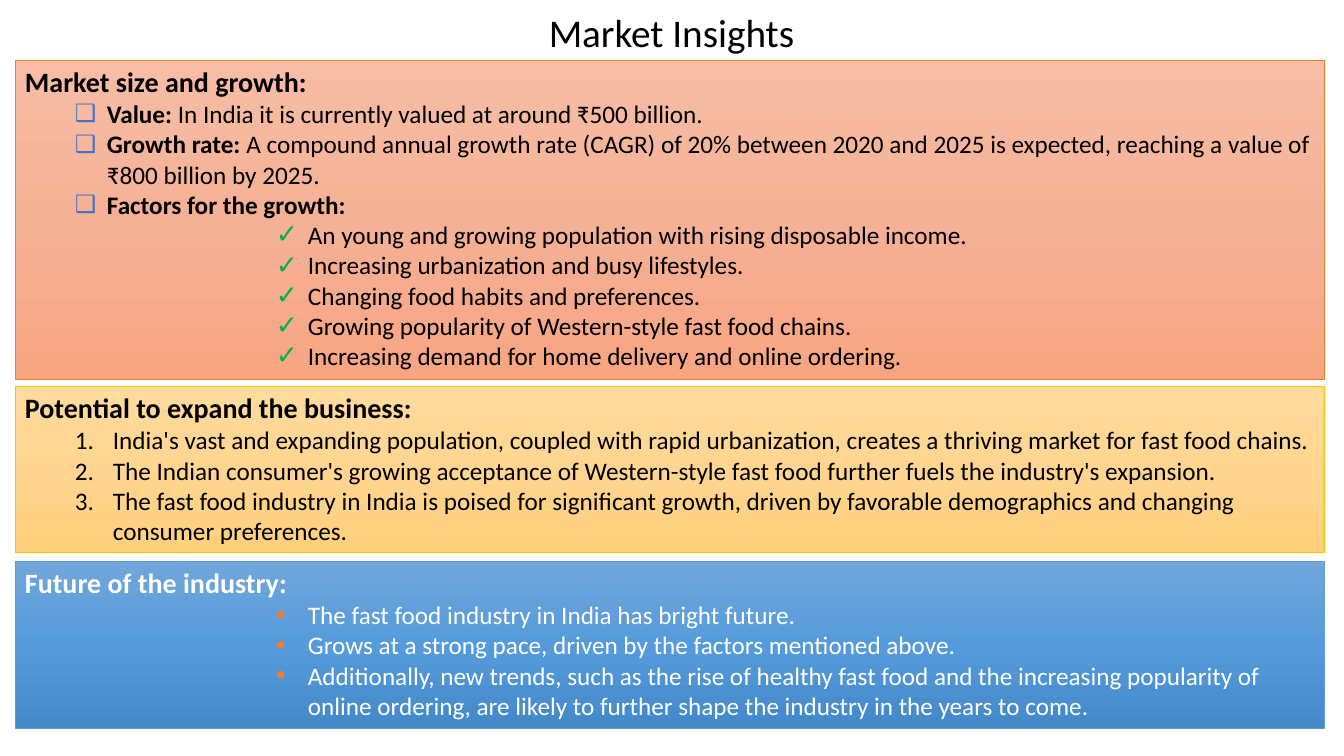
from copy import deepcopy
from dataclasses import dataclass

from lxml.etree import SubElement
from pptx import Presentation
from pptx.dml.color import RGBColor
from pptx.enum.shapes import MSO_SHAPE
from pptx.enum.text import MSO_ANCHOR, MSO_AUTO_SIZE, PP_ALIGN
from pptx.oxml.ns import qn
from pptx.util import Emu, Pt

EMU_PER_PX = 914400 / 100.8
PANEL_LEFT, PANEL_WIDTH = 15, 1309


@dataclass(frozen=True)
class Bullet:
    level: int
    margin: int
    hang: int
    char: str = ""
    color: str = ""
    size: int = 100


@dataclass(frozen=True)
class Item:
    bullet: Bullet
    text: str
    label: str = ""


@dataclass(frozen=True)
class Panel:
    top: int
    height: int
    stops: tuple[str, str, str]
    line: str
    color: str
    heading: str
    items: tuple[Item, ...]


BOX = Bullet(1, 82, 32, "❑", "4472C4", 95)
CHECK = Bullet(5, 283, 32, "✓", "00B050", 105)
DOT = Bullet(5, 283, 32, "•", "ED7D31", 110)
NUMBER = Bullet(1, 88, 38)

PANELS = (
    Panel(60, 319, ("F7BDA5", "F5B196", "F8A582"), "ED7D31", "000000", "Market size and growth:", (
        Item(BOX, "In India it is currently valued at around ₹500 billion.", "Value: "),
        Item(BOX, "A compound annual growth rate (CAGR) of 20% between 2020 and 2025 is expected, "
             "reaching a value of ₹800 billion by 2025.", "Growth rate: "),
        Item(BOX, "", "Factors for the growth:"),
        Item(CHECK, "An young and growing population with rising disposable income."),
        Item(CHECK, "Increasing urbanization and busy lifestyles."),
        Item(CHECK, "Changing food habits and preferences."),
        Item(CHECK, "Growing popularity of Western-style fast food chains."),
        Item(CHECK, "Increasing demand for home delivery and online ordering."),
    )),
    Panel(386, 166, ("FFDB9E", "FFD590", "FFD07C"), "FFC000", "000000", "Potential to expand the business:", (
        Item(NUMBER, "India's vast and expanding population, coupled with rapid urbanization, "
             "creates a thriving market for fast food chains."),
        Item(NUMBER, "The Indian consumer's growing acceptance of Western-style fast food "
             "further fuels the industry's expansion."),
        Item(NUMBER, "The fast food industry in India is poised for significant growth, "
             "driven by favorable demographics and changing consumer preferences."),
    )),
    Panel(561, 167, ("71A6DB", "559BDB", "448ACA"), "5B9BD5", "FFFFFF", "Future of the industry:", (
        Item(DOT, "The fast food industry in India has bright future."),
        Item(DOT, "Grows at a strong pace, driven by the factors mentioned above."),
        Item(DOT, "Additionally, new trends, such as the rise of healthy fast food and the increasing "
             "popularity of online ordering, are likely to further shape the industry in the years to come."),
    )),
)


def px(n: int) -> Emu:
    return Emu(round(n * EMU_PER_PX))


def rgb(color: str) -> RGBColor:
    return RGBColor.from_string(color)


def add_text(p, text: str, *, size: int, color: str, bold: bool = False) -> None:
    r = p.add_run()
    r.text = text
    r.font.name = "Calibri"
    r.font.size = Pt(size)
    r.font.bold = bold
    r.font.color.rgb = rgb(color)


def set_bullet(p, bullet: Bullet) -> None:
    p.level = bullet.level
    pPr = p._p.get_or_add_pPr()
    pPr.set("marL", str(px(bullet.margin)))
    pPr.set("indent", str(-px(bullet.hang)))
    if not bullet.char:
        SubElement(pPr, qn("a:buFont"), typeface="+mj-lt")
        SubElement(pPr, qn("a:buAutoNum"), type="arabicPeriod")
        return
    buClr = SubElement(pPr, qn("a:buClr"))
    SubElement(buClr, qn("a:srgbClr"), val=bullet.color)
    SubElement(pPr, qn("a:buSzPct"), val=str(bullet.size * 1000))
    SubElement(pPr, qn("a:buFont"), typeface="Arial")
    SubElement(pPr, qn("a:buChar"), char=bullet.char)


def set_gradient(sp, colors: tuple[str, str, str]) -> None:
    sp.fill.gradient()
    sp.fill.gradient_angle = 270
    gs_lst = sp._element.spPr.find(qn("a:gradFill")).find(qn("a:gsLst"))
    gs_lst.insert(1, deepcopy(gs_lst[0]))
    for stop, color, position in zip(sp.fill.gradient_stops, colors, (0, 0.5, 1)):
        stop.color.rgb = rgb(color)
        stop.position = position


def add_title(s, text: str) -> None:
    tf = s.shapes.add_textbox(px(535), px(3), px(273), px(57)).text_frame
    tf.auto_size = MSO_AUTO_SIZE.SHAPE_TO_FIT_TEXT
    tf.word_wrap = False
    p = tf.paragraphs[0]
    p.alignment = PP_ALIGN.CENTER
    add_text(p, text, size=28, color="000000")


def add_panel(s, panel: Panel) -> None:
    sp = s.shapes.add_shape(MSO_SHAPE.RECTANGLE, px(PANEL_LEFT), px(panel.top),
                            px(PANEL_WIDTH), px(panel.height))
    sp.shadow.inherit = False
    set_gradient(sp, panel.stops)
    sp.line.color.rgb = rgb(panel.line)
    sp.line.width = Pt(0.5)
    tf = sp.text_frame
    tf.word_wrap = True
    tf.auto_size = MSO_AUTO_SIZE.SHAPE_TO_FIT_TEXT
    tf.vertical_anchor = MSO_ANCHOR.TOP
    p = tf.paragraphs[0]
    p.alignment = PP_ALIGN.LEFT
    add_text(p, panel.heading, size=20, color=panel.color, bold=True)
    for item in panel.items:
        p = tf.add_paragraph()
        p.alignment = PP_ALIGN.LEFT
        set_bullet(p, item.bullet)
        for text, bold in ((item.label, True), (item.text, False)):
            if text:
                add_text(p, text, size=18, color=panel.color, bold=bold)


def main() -> None:
    prs = Presentation()
    prs.slide_width, prs.slide_height = px(1344), px(756)
    s = prs.slides.add_slide(prs.slide_layouts[6])
    add_title(s, "Market Insights")
    for panel in PANELS:
        add_panel(s, panel)
    prs.save("out.pptx")


if __name__ == "__main__":
    main()
